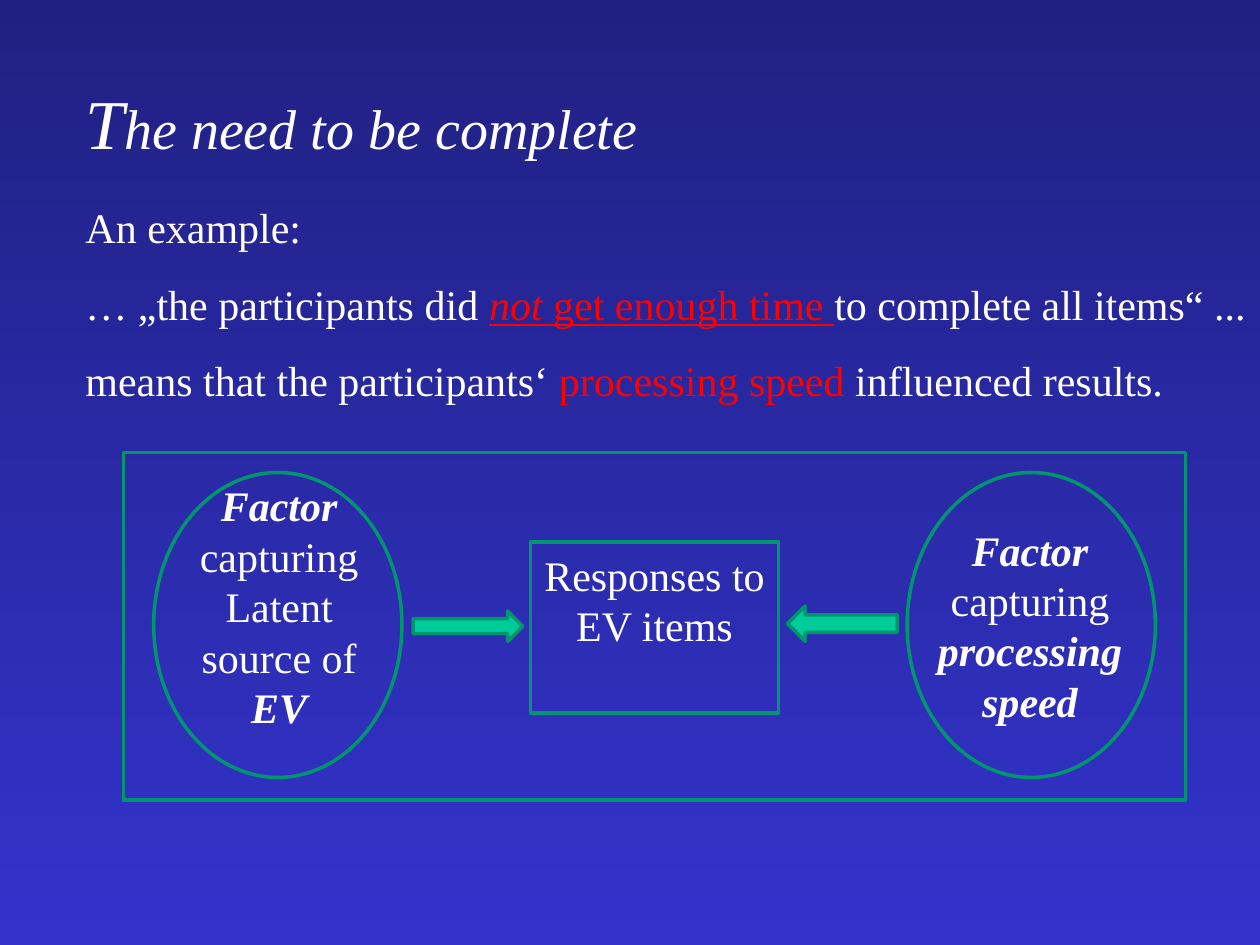
from pptx import Presentation
from pptx.dml.color import RGBColor
from pptx.enum.shapes import MSO_SHAPE
from pptx.enum.text import MSO_AUTO_SIZE, PP_ALIGN
from pptx.util import Inches, Pt

RECT, OVAL = MSO_SHAPE.RECTANGLE, MSO_SHAPE.OVAL
RIGHT_ARROW, LEFT_ARROW = MSO_SHAPE.RIGHT_ARROW, MSO_SHAPE.LEFT_ARROW
LEFT, CENTER = PP_ALIGN.LEFT, PP_ALIGN.CENTER
GROW = MSO_AUTO_SIZE.SHAPE_TO_FIT_TEXT

WIDTH, HEIGHT = Inches(10), Inches(7.5)
COLUMNS, ROWS = 100, 75
FONT = "Times New Roman"
COLORS = {
    "top": "202082",
    "bottom": "3333CC",
    "text": "FFFFFF",
    "accent": "FF0000",
    "outline": "00956F",
    "arrow": "00CC99",
}
STRONG = {"bold": True, "italic": True}
RED = {"color": "accent"}
RED_LINE = {"color": "accent", "underline": True}


def rgb(name):
    """Return the named colour."""
    return RGBColor.from_string(COLORS[name])


def grid(col, row, cols, rows):
    """Turn grid columns and rows into a position and a size."""
    return (round(col * WIDTH / COLUMNS), round(row * HEIGHT / ROWS),
            round(cols * WIDTH / COLUMNS), round(rows * HEIGHT / ROWS))


def paint_background(s):
    """Fill the slide with a vertical gradient."""
    fill = s.background.fill
    fill.gradient()
    fill.gradient_angle = 270
    for stop, position, name in zip(fill.gradient_stops, (0, 1), ("top", "bottom")):
        stop.position = position
        stop.color.rgb = rgb(name)


def add_run(p, text, size=24, color="text", bold=False, italic=False, underline=False):
    """Add one formatted run of text to a paragraph."""
    r = p.add_run()
    r.text = text
    font = r.font
    font.name, font.size = FONT, Pt(size)
    font.bold, font.italic, font.underline = bold, italic, underline
    font.color.rgb = rgb(color)


def add_text(s, cell, paragraphs, align=LEFT, space=0):
    """Add a text box whose paragraphs are lists of (text, format) runs."""
    tf = s.shapes.add_textbox(*grid(*cell)).text_frame
    tf.word_wrap = True
    tf.auto_size = GROW
    for i, runs in enumerate(paragraphs):
        p = tf.add_paragraph() if i else tf.paragraphs[0]
        p.alignment = align
        if i:
            p.space_before = Pt(space)
        for text, style in runs:
            add_run(p, text, **style)


def add_outline(s, kind, cell, fill=None):
    """Add a green outlined shape, filled only when a colour is named."""
    sp = s.shapes.add_shape(kind, *grid(*cell))
    sp.shadow.inherit = False
    sp.line.color.rgb = rgb("outline")
    sp.line.width = Pt(2)
    if fill:
        sp.fill.solid()
        sp.fill.fore_color.rgb = rgb(fill)
    else:
        sp.fill.background()


def add_diagram(s):
    """Draw the two factors pointing at the responses."""
    add_outline(s, RECT, (9.8, 35.9, 84.3, 27.6))
    for col in (12.2, 72):
        add_outline(s, OVAL, (col, 37.5, 19.7, 24.2))
    add_outline(s, RECT, (42.1, 43, 19.7, 13.6))
    add_outline(s, RIGHT_ARROW, (32.8, 48.5, 8.7, 2.4), fill="arrow")
    add_outline(s, LEFT_ARROW, (62.5, 48.1, 8.7, 2.8), fill="arrow")
    labels = [
        ((13.9, 37.6, 16.5, 21), [
            ("Factor ", STRONG), ("capturing Latent source of ", {}), ("EV", STRONG)]),
        ((42.1, 43.1, 19.7, 9), [("Responses to EV items", {})]),
        ((73.1, 41.1, 17.3, 17), [
            ("Factor ", STRONG), ("capturing ", {}), ("processing speed", STRONG)]),
    ]
    for cell, runs in labels:
        add_text(s, cell, [runs], align=CENTER)


def main():
    """Build the slide and save it."""
    prs = Presentation()
    prs.slide_width, prs.slide_height = WIDTH, HEIGHT
    s = prs.slides.add_slide(prs.slide_layouts[6])
    paint_background(s)
    add_text(s, (5.8, 5.8, 88.3, 7.7), [[
        ("T", {"size": 40, "italic": True}),
        ("he need to be complete", {"size": 32, "italic": True}),
    ]])
    add_text(s, (5.8, 15.5, 94.2, 17.2), [
        [("An example:", {})],
        [("… „the participants did ", {}),
         ("not", {"italic": True, **RED_LINE}),
         (" get enough time ", RED_LINE),
         ("to complete all items“ ...", {})],
        [("means that the participants‘ ", {}),
         ("processing speed ", RED),
         ("influenced results.", {})],
    ], space=15)
    add_diagram(s)
    prs.save("out.pptx")


if __name__ == "__main__":
    main()
